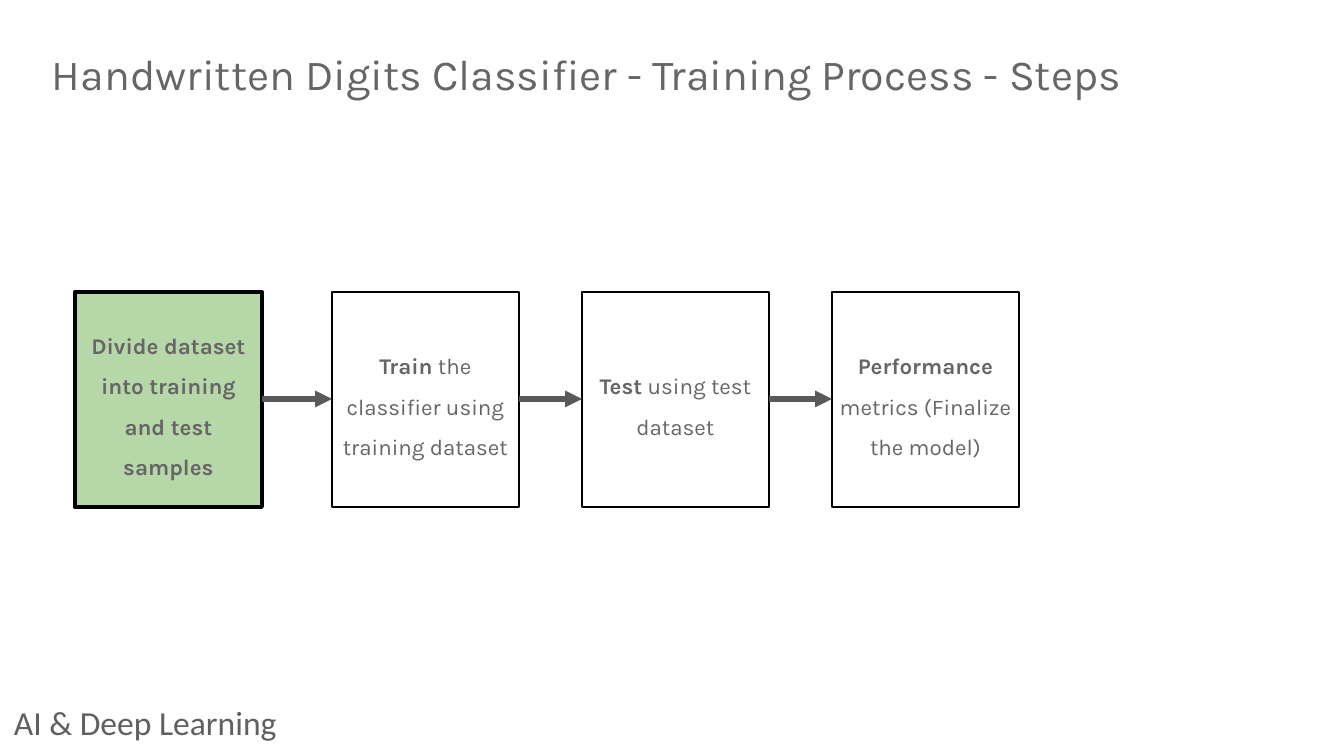
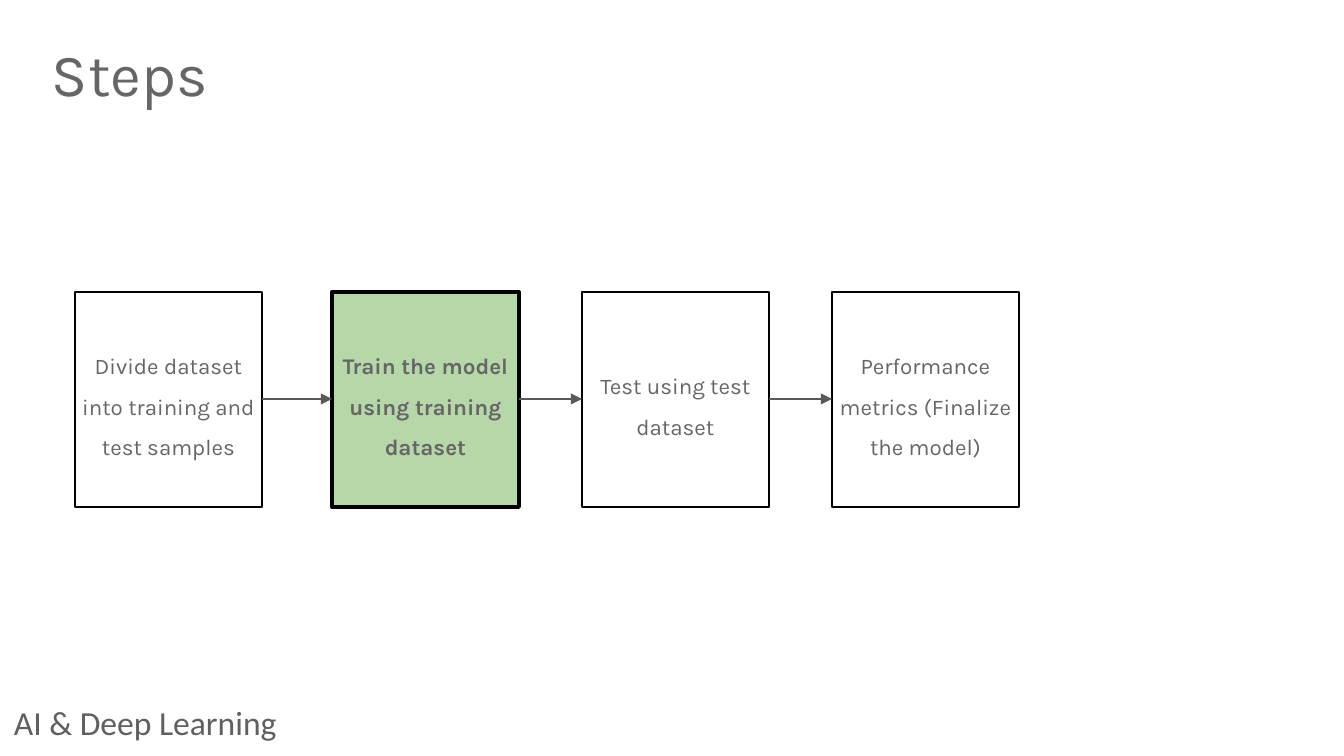
"""Build two slides that show the training steps of a digits classifier."""
from lxml.etree import SubElement
from pptx import Presentation
from pptx.dml.color import RGBColor
from pptx.enum.shapes import MSO_CONNECTOR, MSO_SHAPE
from pptx.enum.text import MSO_ANCHOR, PP_ALIGN
from pptx.oxml.ns import qn
from pptx.util import Emu, Pt

SCALE = 914400 / 134.4
GREY, BLACK, GREEN = "666666", "000000", "B6D7A8"
FOOT, ARROW = "606060", "595959"
LEFTS, TOP, WIDE, HIGH = (75, 332, 582, 832), 292, 187, 215
SLIDES = [
    ("Handwritten Digits Classifier - Training Process - Steps", 23, 0, 3, [
        ("Divide dataset into training and test samples", ""),
        ("Train", " the classifier using training dataset"),
        ("Test", " using test dataset"),
        ("Performance", " metrics (Finalize the model)")]),
    ("Steps", 32, 1, 0.75, [
        ("", "Divide dataset into training and test samples"),
        ("Train the model using training dataset", ""),
        ("", "Test using test dataset"),
        ("", "Performance metrics (Finalize the model)")]),
]


def px(n):
    return Emu(round(n * SCALE))


def paint(code):
    return RGBColor.from_string(code)


def style(run, size, face, hue, bold=False):
    font = run.font
    font.size, font.name, font.bold = Pt(size), face, bold
    font.color.rgb = paint(hue)


def frame(shape, inset):
    body = shape.text_frame
    body.word_wrap = True
    body.vertical_anchor = MSO_ANCHOR.MIDDLE
    body.margin_left = body.margin_right = px(inset)
    body.margin_top = body.margin_bottom = px(inset)
    return body


def label(slide, text, area, inset, size, face, hue, space=1.0):
    box = slide.shapes.add_textbox(*map(px, area))
    body = frame(box, inset)
    body.text = text
    para = body.paragraphs[0]
    para.line_spacing = space
    style(para.runs[0], size, face, hue)


def step(slide, left, lead, rest, active):
    box = slide.shapes.add_shape(
        MSO_SHAPE.RECTANGLE, px(left), px(TOP), px(WIDE), px(HIGH))
    box.shadow.inherit = False
    if active:
        box.fill.solid()
        box.fill.fore_color.rgb = paint(GREEN)
    else:
        box.fill.background()
    box.line.color.rgb = paint(BLACK)
    box.line.width = Pt(2.25 if active else 0.75)
    para = frame(box, 5).paragraphs[0]
    para.alignment = PP_ALIGN.CENTER
    para.line_spacing = 1.5
    for text, bold in ((lead, True), (rest, False)):
        if text:
            run = para.add_run()
            run.text = text
            style(run, 12, "Karla", GREY, bold)


def arrow(slide, start, end, weight):
    mid = px(TOP + HIGH // 2)
    line = slide.shapes.add_connector(
        MSO_CONNECTOR.STRAIGHT, px(start), mid, px(end), mid)
    line.line.color.rgb = paint(ARROW)
    line.line.width = Pt(weight)
    SubElement(line.line._get_or_add_ln(), qn("a:tailEnd"), type="triangle")
    SubElement(line._element.spPr, qn("a:effectLst"))


def build(deck, title, size, active, weight, steps):
    slide = deck.slides.add_slide(deck.slide_layouts[6])
    label(slide, "AI & Deep Learning", (9, 707, 383, 31), 5, 18, "Calibri", FOOT)
    label(slide, title, (52, 32, 1239, 90), 0, size, "Karla", GREY, 0.9)
    for i, (left, (lead, rest)) in enumerate(zip(LEFTS, steps)):
        step(slide, left, lead, rest, i == active)
    for left, end in zip(LEFTS, LEFTS[1:]):
        arrow(slide, left + WIDE, end, weight)


def main():
    deck = Presentation()
    deck.slide_width, deck.slide_height = px(1344), px(756)
    for item in SLIDES:
        build(deck, *item)
    deck.save("out.pptx")


if __name__ == "__main__":
    main()
